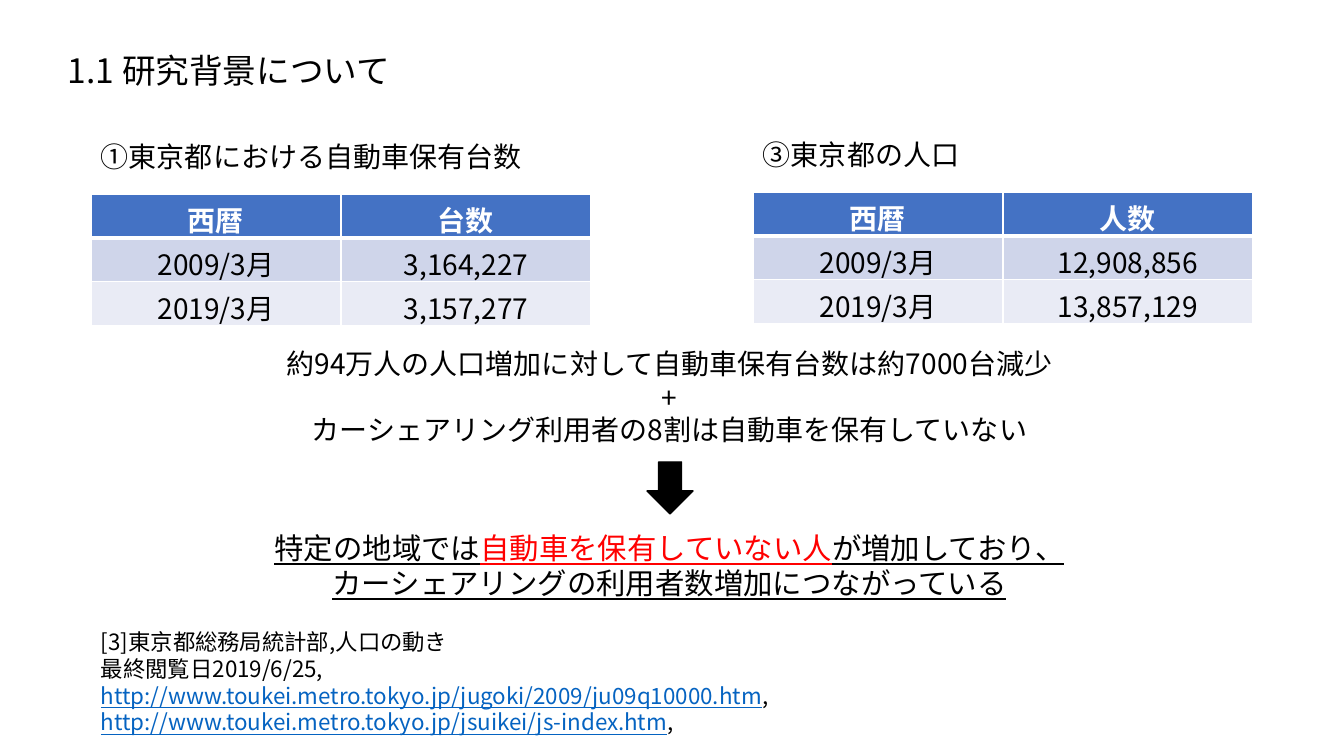
from lxml.etree import SubElement
from pptx import Presentation
from pptx.dml.color import RGBColor
from pptx.enum.shapes import MSO_SHAPE as Preset
from pptx.enum.text import MSO_AUTO_SIZE as AutoSize, PP_ALIGN as Align
from pptx.oxml.ns import qn
from pptx.util import Emu, Pt

PIXELS_PER_INCH = 100.8
FONT = "Noto Sans CJK JP"
BLACK, WHITE, RED, LINK = "000000", "FFFFFF", "FF0000", "0563C1"
HEADER, BAND_DARK, BAND_LIGHT = "4472C4", "CFD5EA", "E9EBF5"
TABLE_WIDTH, ROW_HEIGHT = 500, 43
CENTRE_LEFT, CENTRE_WIDTH = 228, 883


def px(length):
    """Turn pixels into EMU."""
    return Emu(round(length * 914400 / PIXELS_PER_INCH))


def color(value):
    """Turn a hex string into a colour."""
    return RGBColor.from_string(value)


def style_span(span, size, ink=BLACK, bold=False, underline=False):
    """Format one run, for Latin and East Asian letters alike."""
    font = span.font
    font.size = Pt(size)
    font.bold = bold
    font.underline = underline
    font.color.rgb = color(ink)
    font.name = FONT
    SubElement(span._r.get_or_add_rPr(), qn("a:ea"), typeface=FONT)


def add_text(page, left, top, width, height, size, lines, align=Align.LEFT):
    """Add a text box; each line is a list of (text, ink, underline) spans."""
    box = page.shapes.add_textbox(px(left), px(top), px(width), px(height))
    frame = box.text_frame
    frame.word_wrap = True
    frame.auto_size = AutoSize.SHAPE_TO_FIT_TEXT
    for index, spans in enumerate(lines):
        para = frame.add_paragraph() if index else frame.paragraphs[0]
        para.alignment = align
        for text, ink, underline in spans:
            span = para.add_run()
            span.text = text
            style_span(span, size, ink, underline=underline)


def plain(*lines):
    """Make each text a line of one black span."""
    return [[(text, BLACK, False)] for text in lines]


def add_border(cell, side, points):
    """Draw one white edge of a table cell."""
    edge = SubElement(cell._tc.get_or_add_tcPr(), qn(f"a:ln{side}"), w=str(Pt(points)))
    fill = SubElement(edge, qn("a:solidFill"))
    SubElement(fill, qn("a:srgbClr"), val=WHITE)


def style_cell(cell, text, row):
    """Fill in and format a cell according to its row."""
    cell.text = text
    para = cell.text_frame.paragraphs[0]
    para.alignment = Align.CENTER
    is_header = row == 0
    style_span(para.runs[0], 20, WHITE if is_header else BLACK, bold=is_header)
    thickness = {"L": 1, "R": 1, "T": 3 if row == 1 else 1, "B": 3 if is_header else 1}
    for side, points in thickness.items():
        add_border(cell, side, points)
    cell.fill.solid()
    cell.fill.fore_color.rgb = color((HEADER, BAND_DARK, BAND_LIGHT)[row])


def add_statistics(page, left, top, heading_width, heading, rows):
    """Add a heading with its table of yearly figures below."""
    add_text(page, left, top, heading_width, 44, 20, plain(heading))
    frame = page.shapes.add_table(len(rows), 2, px(left), px(top + 59),
                                  px(TABLE_WIDTH), px(ROW_HEIGHT * len(rows)))
    for row, texts in enumerate(rows):
        for column, text in enumerate(texts):
            style_cell(frame.table.cell(row, column), text, row)


def add_arrow(page, left, top, width, height):
    """Add a black arrow that points down."""
    arrow = page.shapes.add_shape(Preset.RIGHT_ARROW, px(left), px(top), px(width), px(height))
    arrow.rotation = 90
    arrow.shadow.inherit = False
    arrow.fill.solid()
    arrow.fill.fore_color.rgb = color(BLACK)
    arrow.line.color.rgb = color(BLACK)
    arrow.line.width = Pt(1)


def add_centred(page, top, height, size, lines):
    """Add a text box in the centre column."""
    add_text(page, CENTRE_LEFT, top, CENTRE_WIDTH, height, size, lines, Align.CENTER)


def main():
    """Build the slide and save it."""
    deck = Presentation()
    deck.slide_width, deck.slide_height = px(1344), px(756)
    page = deck.slides.add_slide(deck.slide_layouts[6])

    add_text(page, 58, 45, 513, 50, 24, plain("1.1 研究背景について"))
    add_statistics(page, 91, 135, 519, "①東京都における自動車保有台数", [
        ("西暦", "台数"), ("2009/3月", "3,164,227"), ("2019/3月", "3,157,277")])
    add_statistics(page, 753, 133, 458, "③東京都の人口", [
        ("西暦", "人数"), ("2009/3月", "12,908,856"), ("2019/3月", "13,857,129")])

    add_centred(page, 342, 78, 20, plain(
        "約94万人の人口増加に対して自動車保有台数は約7000台減少", "+"))
    add_centred(page, 408, 44, 20, plain("カーシェアリング利用者の8割は自動車を保有していない"))
    add_arrow(page, 644, 465, 52, 46)
    add_centred(page, 525, 82, 21, [
        [("特定の地域では", BLACK, True), ("自動車を保有していない人", RED, True),
         ("が増加しており、", BLACK, True)],
        [("カーシェアリングの利用者数増加につながっている", BLACK, True)]])

    addresses = ("jugoki/2009/ju09q10000.htm", "jsuikei/js-index.htm")
    sources = [[("http://www.toukei.metro.tokyo.jp/" + address, LINK, True), (",", BLACK, False)]
               for address in addresses]
    add_text(page, 91, 623, 1194, 146, 16,
             plain("[3]東京都総務局統計部,人口の動き", "最終閲覧日2019/6/25,") + sources)
    deck.save("out.pptx")


main()
